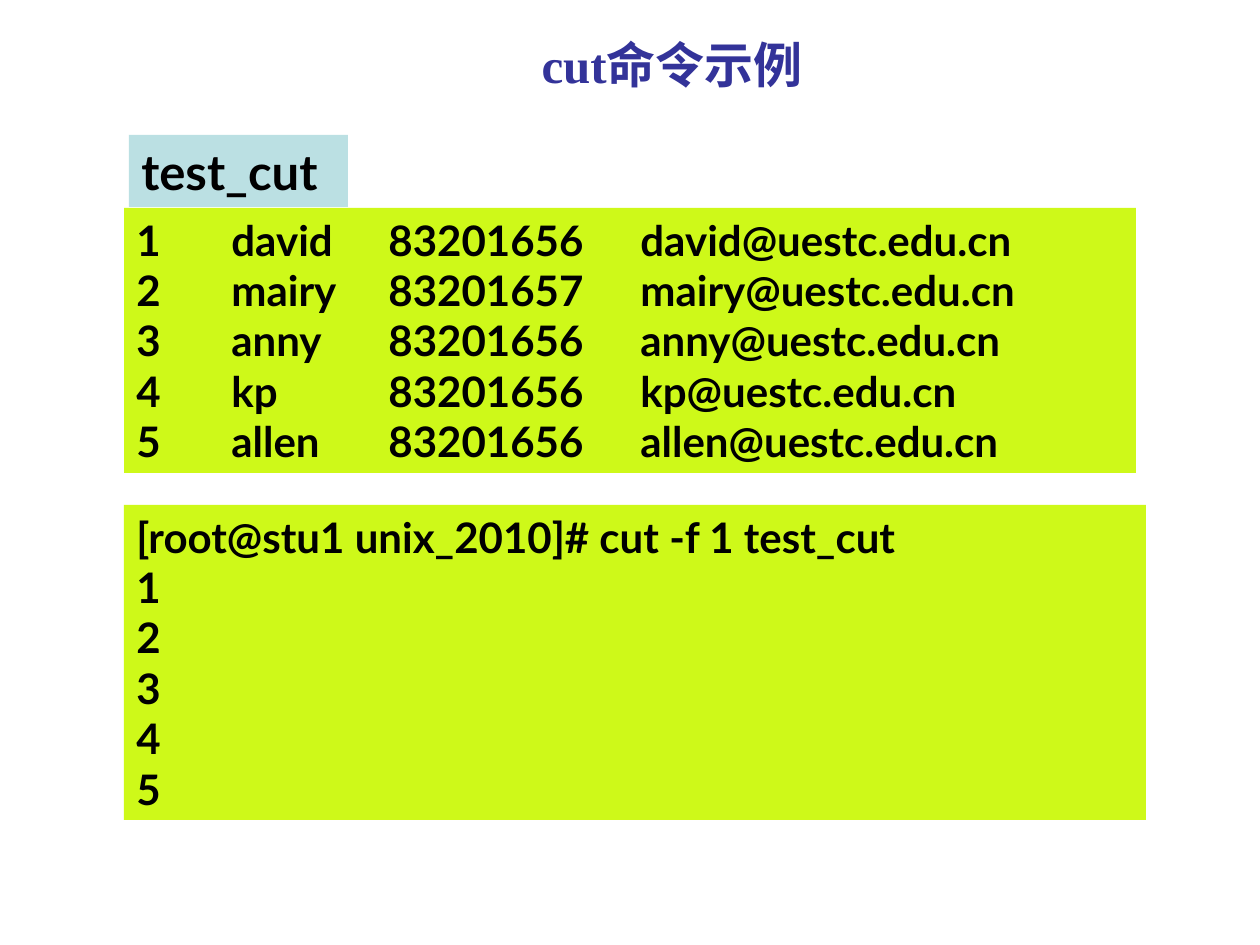
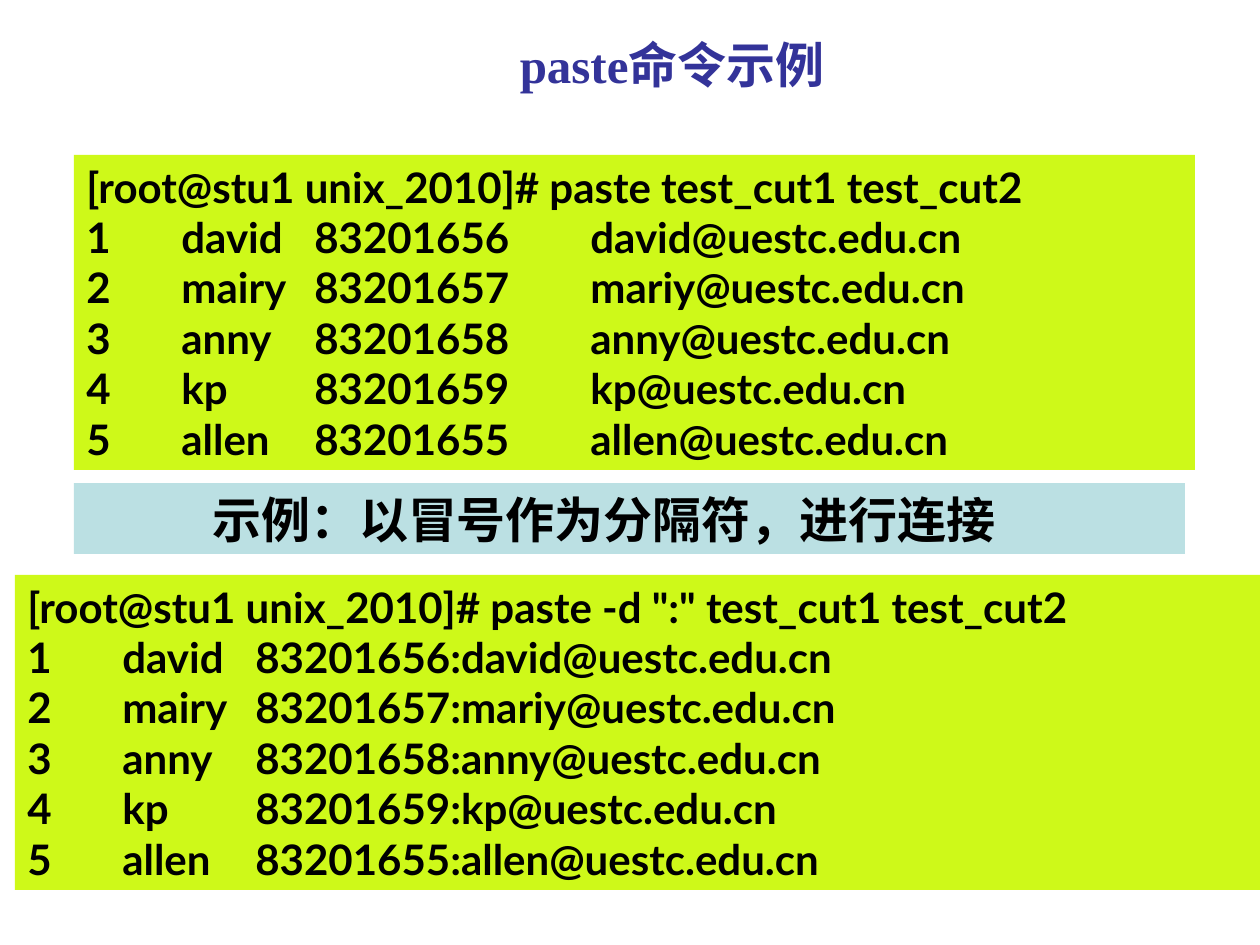
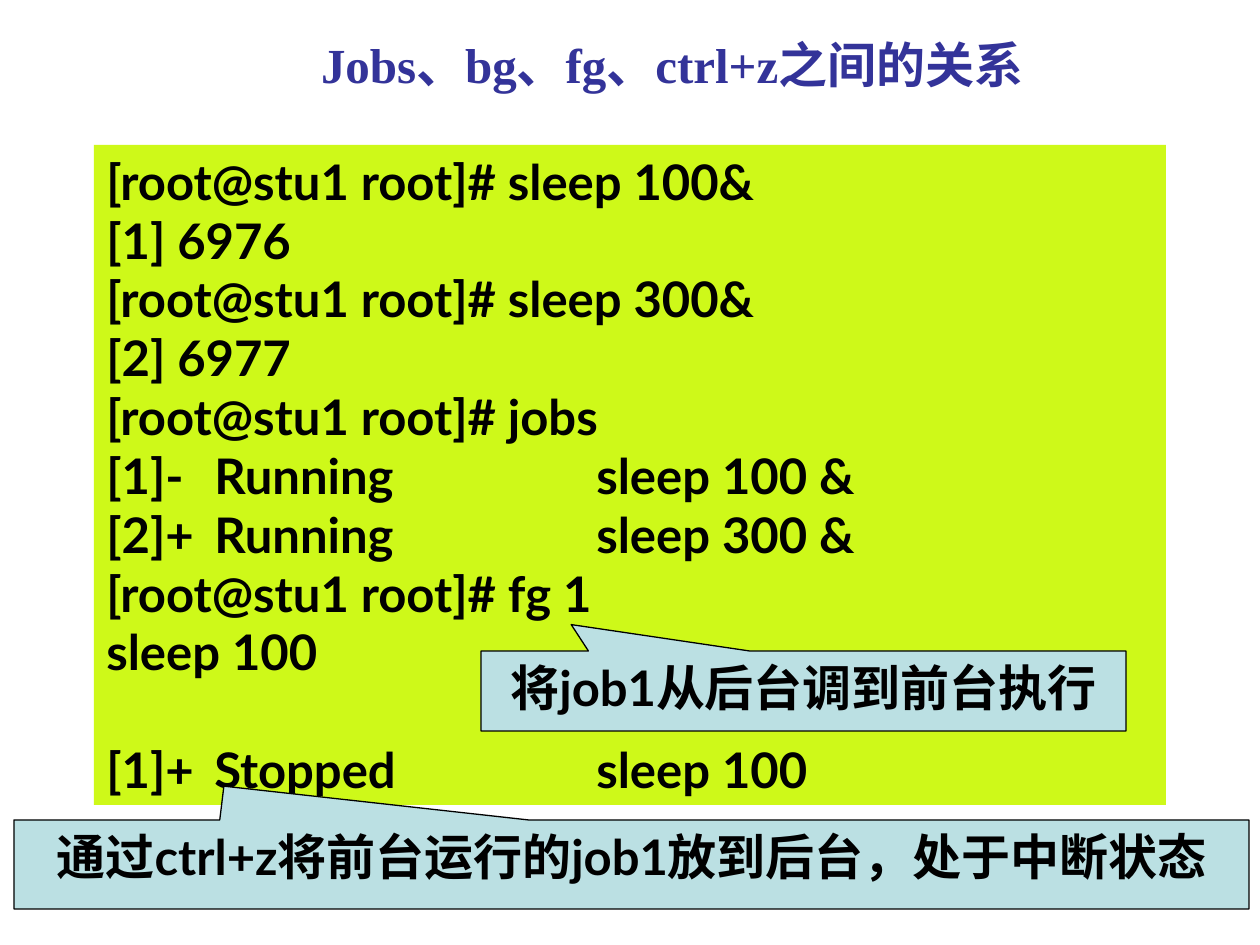
from lxml import etree
from pptx import Presentation
from pptx.dml.color import RGBColor
from pptx.enum.shapes import MSO_SHAPE
from pptx.enum.text import MSO_ANCHOR, PP_ALIGN
from pptx.oxml.ns import qn
from pptx.util import Emu, Pt

RECTANGLE = MSO_SHAPE.RECTANGLE
CALLOUT = MSO_SHAPE.RECTANGULAR_CALLOUT
MIDDLE = MSO_ANCHOR.MIDDLE
TOP = MSO_ANCHOR.TOP
LEFT = PP_ALIGN.LEFT
CENTER = PP_ALIGN.CENTER

LIME = RGBColor(0xCE, 0xF9, 0x19)
PALE_BLUE = RGBColor(0xBB, 0xE0, 0xE3)
INDIGO = RGBColor(0x33, 0x33, 0x99)
BLACK = RGBColor(0, 0, 0)

TITLE_FONT = "Times New Roman"
BODY_FONT = "Lato"
PX = 914400 / 126
RECORD_TABS = (95, 252, 504)
PASTE_TABS = (95, 228, 504)
JOB_TABS = (108, 490)


def px(length):
    return Emu(round(length * PX))


def add_panel(slide, box, lines, color, size=28, kind=RECTANGLE, align=LEFT, tabs=(), wrap=True):
    shape = slide.shapes.add_shape(kind, *map(px, box))
    shape.shadow.inherit = False
    shape.fill.solid()
    shape.fill.fore_color.rgb = color
    if kind == CALLOUT:
        shape.line.color.rgb = BLACK
        shape.line.width = Pt(0.75)
    else:
        shape.line.fill.background()
    frame = shape.text_frame
    frame.word_wrap = wrap
    frame.vertical_anchor = TOP
    for index, line in enumerate(lines):
        paragraph = frame.paragraphs[0] if index == 0 else frame.add_paragraph()
        paragraph.alignment = align
        if tabs:
            properties = paragraph._p.get_or_add_pPr()
            tab_list = etree.SubElement(properties, qn("a:tabLst"))
            for stop in tabs:
                etree.SubElement(tab_list, qn("a:tab"), pos=str(px(stop)), algn="l")
        run = paragraph.add_run()
        run.text = line
        run.font.name = BODY_FONT
        run.font.size = Pt(size)
        run.font.bold = True
        run.font.color.rgb = BLACK
    return shape


presentation = Presentation()
presentation.slide_width = px(1260)
presentation.slide_height = px(945)

slides = []
for title in ("cut命令示例", "paste命令示例", "Jobs、bg、fg、ctrl+z之间的关系"):
    slide = presentation.slides.add_slide(presentation.slide_layouts[6])
    title_box = slide.shapes.add_textbox(px(84), px(26), px(1176), px(76))
    title_box.text_frame.word_wrap = True
    title_box.text_frame.vertical_anchor = MIDDLE
    paragraph = title_box.text_frame.paragraphs[0]
    paragraph.alignment = CENTER
    run = paragraph.add_run()
    run.text = title
    run.font.name = TITLE_FONT
    run.font.size = Pt(28)
    run.font.bold = True
    run.font.color.rgb = INDIGO
    slides.append(slide)
cut_slide, paste_slide, jobs_slide = slides

names = ("david", "mairy", "anny", "kp", "allen")
cut_phones = ("83201656", "83201657", "83201656", "83201656", "83201656")
records = [
    f"{number}\t{name}\t{phone}\t{name}@uestc.edu.cn"
    for number, (name, phone) in enumerate(zip(names, cut_phones), 1)
]
add_panel(cut_slide, (124, 208, 1012, 265), records, LIME, 24, tabs=RECORD_TABS)
add_panel(cut_slide, (129, 135, 219, 72), ["test_cut"], PALE_BLUE, wrap=False)
cut_output = ["[root@stu1 unix_2010]# cut -f 1 test_cut", "1", "2", "3", "4", "5"]
add_panel(cut_slide, (124, 505, 1022, 315), cut_output, LIME, 24)

paste_phones = ("83201656", "83201657", "83201658", "83201659", "83201655")
mailboxes = ("david", "mariy", "anny", "kp", "allen")
for box, option, separator in (
    ((74, 155, 1121, 315), "", "\t"),
    ((15, 575, 1245, 315), '-d ":" ', ":"),
):
    paste_output = [f"[root@stu1 unix_2010]# paste {option}test_cut1 test_cut2"]
    for number, (name, phone, mailbox) in enumerate(zip(names, paste_phones, mailboxes), 1):
        paste_output.append(f"{number}\t{name}\t{phone}{separator}{mailbox}@uestc.edu.cn")
    add_panel(paste_slide, box, paste_output, LIME, 24, tabs=PASTE_TABS)
caption = add_panel(paste_slide, (74, 483, 1111, 71), ["示例：以冒号作为分隔符，进行连接"], PALE_BLUE)
caption.text_frame.paragraphs[0]._p.get_or_add_pPr().set("marL", str(px(126)))

job_output = [
    "[root@stu1 root]# sleep 100&",
    "[1] 6976",
    "[root@stu1 root]# sleep 300&",
    "[2] 6977",
    "[root@stu1 root]# jobs",
    "[1]-\tRunning\tsleep 100 &",
    "[2]+\tRunning\tsleep 300 &",
    "[root@stu1 root]# fg 1",
    "sleep 100",
    "[1]+\tStopped\tsleep 100",
]
terminal = add_panel(jobs_slide, (94, 145, 1072, 660), job_output, LIME, tabs=JOB_TABS)
terminal.text_frame.paragraphs[-1].space_before = Pt(33.6)

for box, note, tip in (
    ((14, 820, 1235, 89), "通过ctrl+z将前台运行的job1放到后台，处于中断状态", (-0.33, -0.88)),
    ((481, 651, 645, 80), "将job1从后台调到前台执行", (-0.36, -0.83)),
):
    callout = add_panel(jobs_slide, box, [note], PALE_BLUE, kind=CALLOUT, align=CENTER)
    callout.adjustments[0], callout.adjustments[1] = tip

presentation.save("out.pptx")
